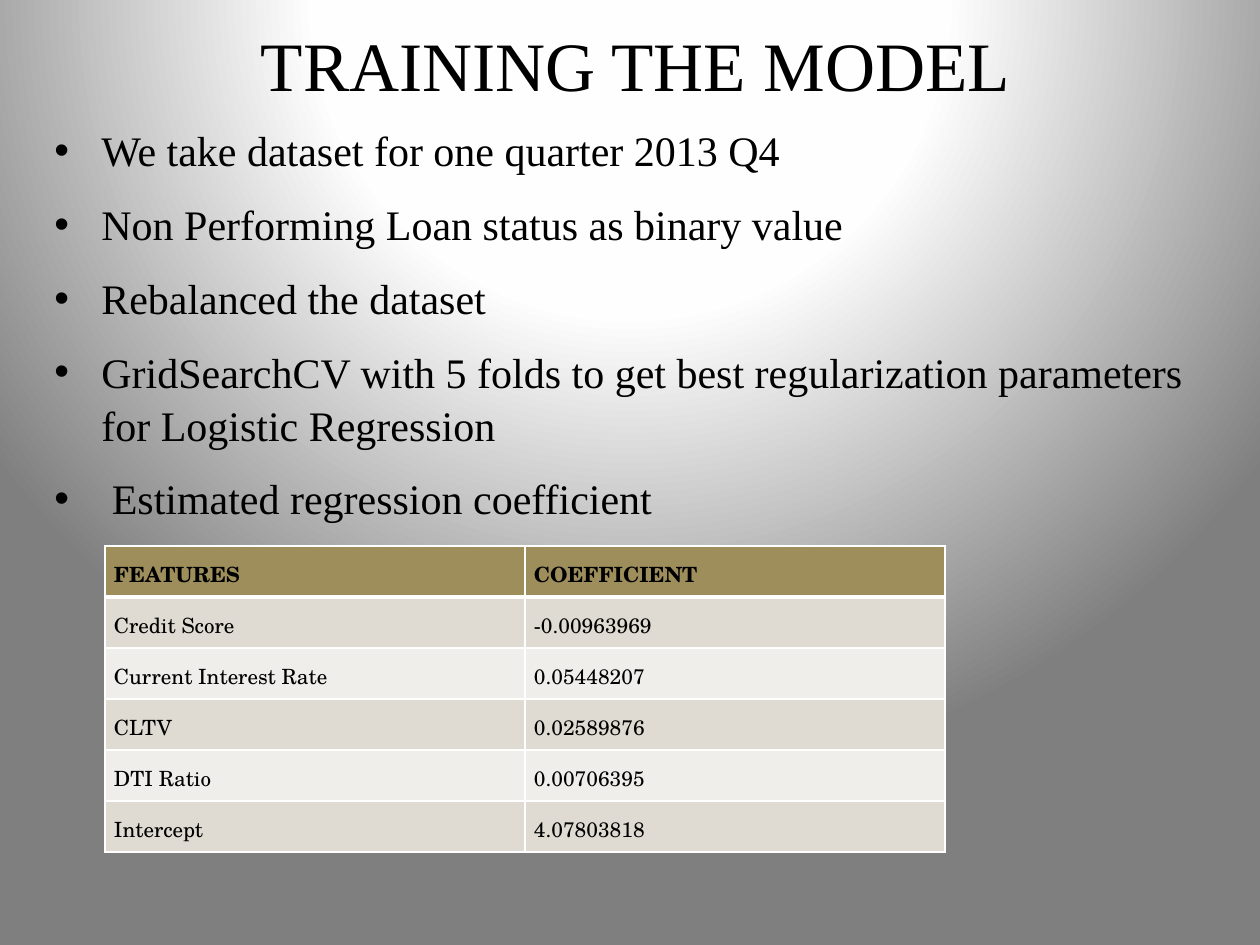
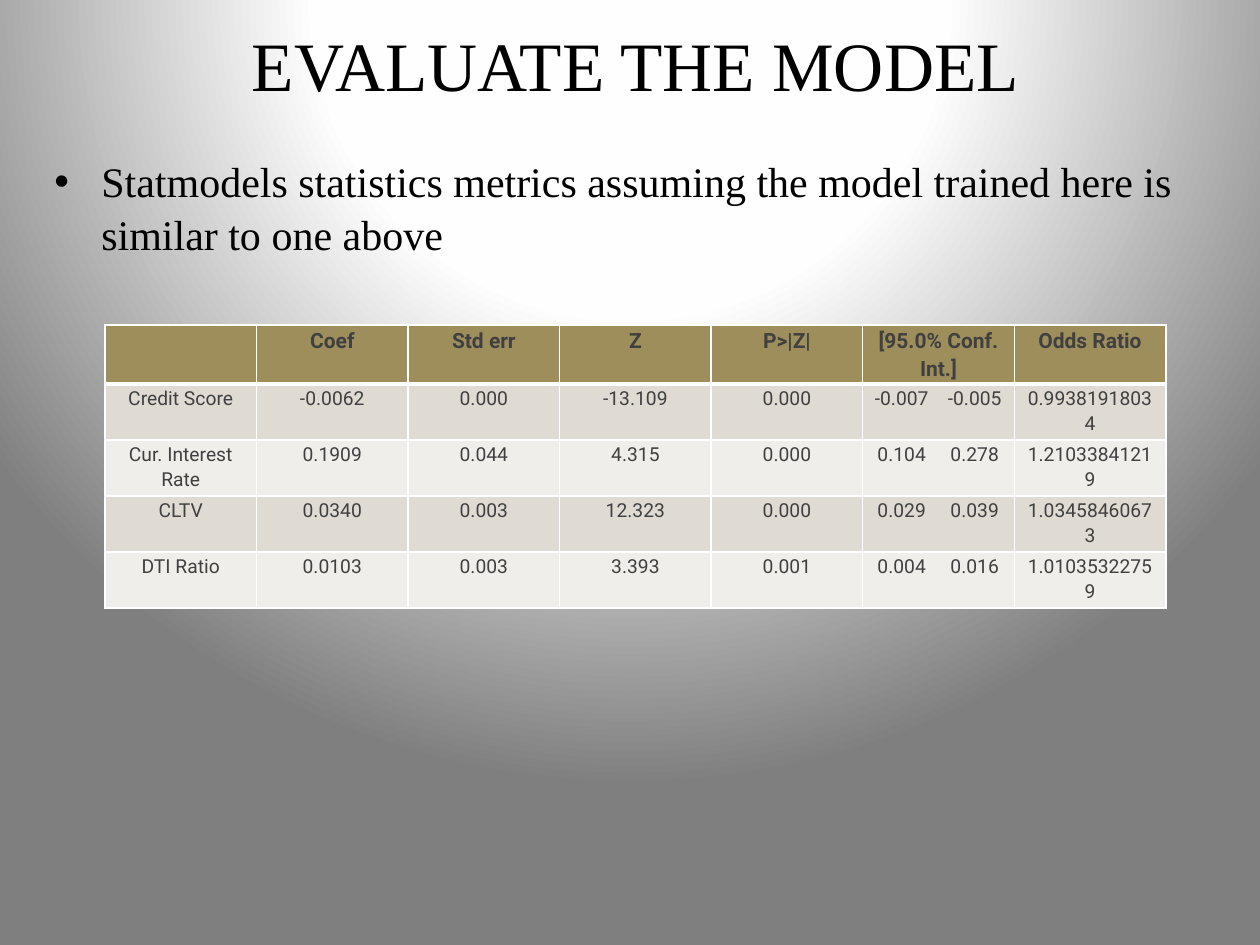
from pptx import Presentation
from pptx.dml.color import RGBColor
from pptx.enum.text import MSO_ANCHOR, PP_ALIGN
from pptx.oxml import parse_xml
from pptx.oxml.ns import nsdecls
from pptx.util import Pt

PX = 914400 / 126
NS = nsdecls("a")


def px(n):
    return round(n * PX)


def style(para, text, color, font, layout):
    """Write one run and set the formats of its paragraph."""
    run = para.add_run()
    run.text = text
    run.font.color.rgb = RGBColor.from_string(color)
    for key, val in font.items():
        setattr(run.font, key, val)
    for key, val in layout.items():
        setattr(para, key, val)


# Shared look
BLACK, GREY, WHITE = "000000", "404040", "FFFFFF"
HEAD, BANDS = "9E8E5C", ("DFDBD2", "F0EEEA")
SERIF = "Times New Roman"
TITLE = {"name": SERIF, "size": Pt(39.6)}
BODY = {"name": SERIF, "size": Pt(24)}
LIST = {"line_spacing": 1.05, "space_before": Pt(12)}
LEFT, WIDE = 42, 1187
INDENT = 47

# Content of the two slides
SLIDES = [
    {
        "title": "TRAINING THE MODEL",
        "box": (116, 756),
        "points": [
            "We take dataset for one quarter 2013 Q4",
            "Non Performing Loan status as binary value",
            "Rebalanced the dataset",
            "GridSearchCV with 5 folds to get best regularization "
            "parameters for Logistic Regression",
            " Estimated regression coefficient",
        ],
        "top": 546, "width": 840, "heights": (51, 51),
        "font": "TeX Gyre Schola", "size": 12, "color": BLACK,
        "align": PP_ALIGN.LEFT, "anchor": MSO_ANCHOR.MIDDLE,
        "rows": [
            ("FEATURES", "COEFFICIENT"),
            ("Credit Score", "-0.00963969"),
            ("Current Interest Rate", "0.05448207"),
            ("CLTV", "0.02589876"),
            ("DTI Ratio", "0.00706395"),
            ("Intercept", "4.07803818"),
        ],
    },
    {
        "title": "EVALUATE THE MODEL",
        "box": (147, 126),
        "points": [
            "Statmodels statistics metrics assuming the model trained "
            "here is similar to one above",
        ],
        "top": 325, "width": 1061, "heights": (59, 56),
        "font": "Roboto", "size": 11, "color": GREY,
        "align": PP_ALIGN.CENTER, "anchor": MSO_ANCHOR.TOP,
        "rows": [
            ("", "Coef", "Std err", "Z", "P>|Z|", "[95.0% Conf. Int.]",
             "Odds Ratio"),
            ("Credit Score", "-0.0062", "0.000", "-13.109", "0.000",
             "\t-0.007\t-0.005", "0.99381918034"),
            ("Cur. Interest Rate", "0.1909", "0.044", "4.315", "0.000",
             "\t0.104\t0.278", "1.21033841219"),
            ("CLTV", "0.0340", "0.003", "12.323", "0.000",
             "\t0.029\t0.039", "1.03458460673"),
            ("DTI Ratio", "0.0103", "0.003", "3.393", "0.001",
             "\t0.004\t0.016", "1.01035322759"),
        ],
    },
]

deck = Presentation()
deck.slide_width, deck.slide_height = px(1260), px(945)

# Spotlight background, set once on the master
master = deck.slide_master
master.background.fill.gradient()
old = master.element.xpath("p:cSld/p:bg/p:bgPr/a:gradFill")[0]
stops = "".join(
    f'<a:gs pos="{pos}000"><a:srgbClr val="{tone}"/></a:gs>'
    for pos, tone in ((0, WHITE), (40, "FEFEFE"), (100, "7F7F7F")))
old.getparent().replace(old, parse_xml(
    f'<a:gradFill {NS} rotWithShape="1"><a:gsLst>{stops}</a:gsLst>'
    '<a:path path="circle"><a:fillToRect l="50000" t="-80000" r="50000" '
    'b="180000"/></a:path></a:gradFill>'))

for data in SLIDES:
    slide = deck.slides.add_slide(deck.slide_layouts[6])

    # Title
    box = slide.shapes.add_textbox(px(LEFT), px(32), px(WIDE), px(63))
    frame = box.text_frame
    frame.word_wrap = True
    frame.vertical_anchor = MSO_ANCHOR.MIDDLE
    style(frame.paragraphs[0], data["title"], BLACK, TITLE,
          {"alignment": PP_ALIGN.CENTER})

    # Bullet points
    top, high = data["box"]
    box = slide.shapes.add_textbox(px(LEFT), px(top), px(WIDE), px(high))
    frame = box.text_frame
    frame.word_wrap = True
    for i, text in enumerate(data["points"]):
        para = frame.add_paragraph() if i else frame.paragraphs[0]
        style(para, text, BLACK, BODY, LIST)
        props = para._p.get_or_add_pPr()
        props.set("marL", str(px(INDENT)))
        props.set("indent", str(-px(INDENT)))
        props.append(parse_xml(f'<a:buFont {NS} typeface="Arial"/>'))
        props.append(parse_xml(f'<a:buChar {NS} char="•"/>'))

    # Table
    rows = data["rows"]
    first, rest = data["heights"]
    count = len(rows[0])
    high = first + rest * (len(rows) - 1)
    grid = slide.shapes.add_table(
        len(rows), count, px(105), px(data["top"]),
        px(data["width"]), px(high)).table
    for col in grid.columns:
        col.width = px(data["width"] / count)
    for r, row in enumerate(rows):
        grid.rows[r].height = px(rest if r else first)
        for c, text in enumerate(row):
            cell = grid.cell(r, c)
            form = {"margin_left": px(9), "margin_right": px(9),
                    "margin_top": 0, "margin_bottom": 0,
                    "vertical_anchor": data["anchor"]}
            for key, val in form.items():
                setattr(cell, key, val)

            # White borders, thick under the header
            props = cell._tc.get_or_add_tcPr()
            for side in "LRTB":
                thick = (r, side) in ((0, "B"), (1, "T"))
                props.append(parse_xml(
                    f'<a:ln{side} {NS} w="{Pt(3 if thick else 1)}">'
                    f'<a:solidFill><a:srgbClr val="{WHITE}"/></a:solidFill>'
                    f'</a:ln{side}>'))
            cell.fill.solid()
            tone = BANDS[(r - 1) % 2] if r else HEAD
            cell.fill.fore_color.rgb = RGBColor.from_string(tone)

            if not text:
                continue
            pair = "\t" in text
            para = cell.text_frame.paragraphs[0]
            style(para, text, data["color"],
                  {"name": data["font"], "bold": r == 0,
                   "size": Pt(data["size"] if r else 12)},
                  {"line_spacing": 1.15,
                   "alignment": PP_ALIGN.LEFT if pair else data["align"]})
            if pair:  # two centred numbers in one cell
                tabs = "".join(f'<a:tab pos="{px(at)}" algn="ctr"/>'
                               for at in (30, 103))
                para._p.get_or_add_pPr().append(
                    parse_xml(f'<a:tabLst {NS}>{tabs}</a:tabLst>'))

deck.save("out.pptx")
